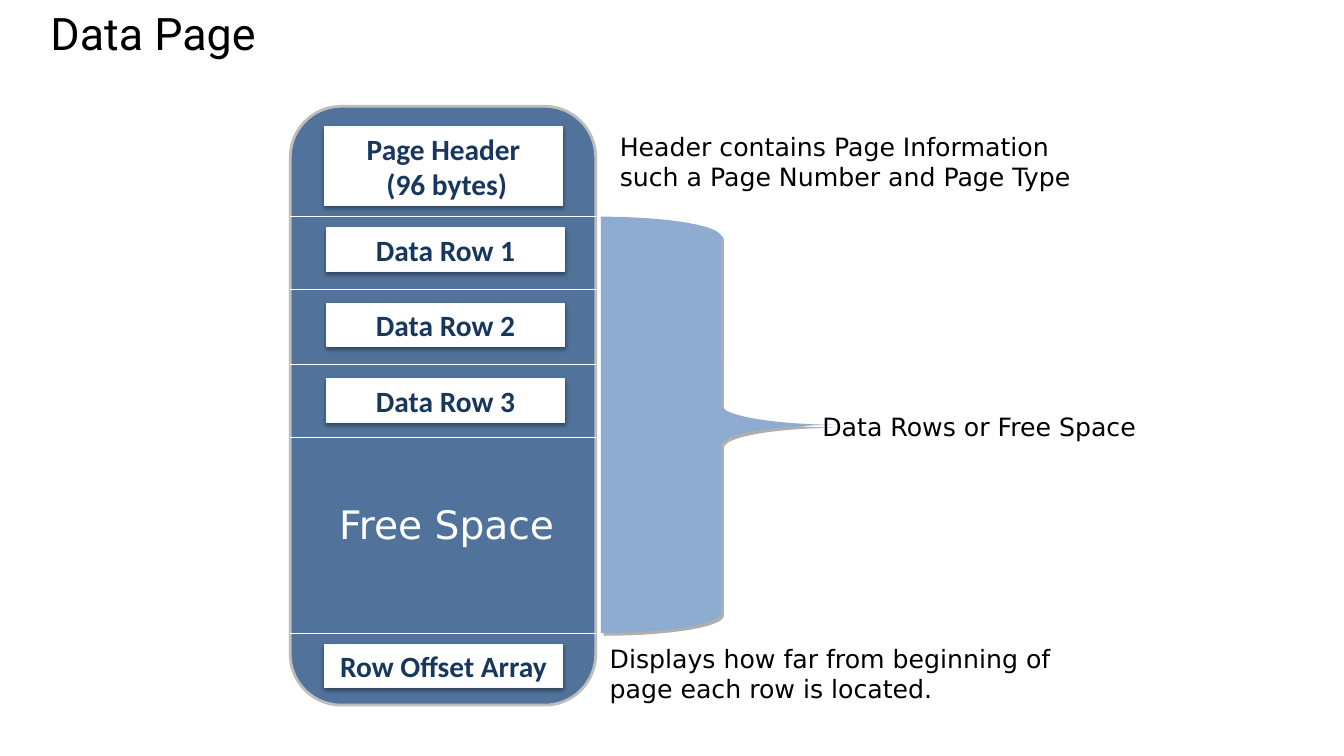
from lxml.etree import SubElement
from pptx import Presentation
from pptx.dml.color import RGBColor
from pptx.enum.shapes import MSO_CONNECTOR, MSO_SHAPE
from pptx.enum.text import MSO_ANCHOR, MSO_AUTO_SIZE, PP_ALIGN
from pptx.oxml.ns import qn
from pptx.util import Inches, Pt

COLORS = {
    "white": "FFFFFF", "black": "000000", "navy": "17375E",
    "panel": "51739B", "panel_edge": "BDBDBD", "card_edge": "F9F9F9",
    "brace": "8DACD0", "brace_shadow": "AFAFAF",
}
CELL = 0.1  # inches per grid column and row
COLUMNS, ROWS = 133.33, 75


def grid(cells):
    return Inches(cells * CELL)


def color(name):
    return RGBColor.from_string(COLORS[name])


class PageDiagram:
    """Holds the style and the current slide; all lengths are grid cells."""

    heading_font, label_font, note_font = "Roboto", "Calibri", "DejaVu Sans"

    def __init__(self, presentation):
        self.slide = presentation.slides.add_slide(presentation.slide_layouts[5])

    def add_lines(self, shape, lines, font, size, tone, bold=False, align=PP_ALIGN.LEFT):
        frame = shape.text_frame
        frame.word_wrap = True
        for index, line in enumerate(lines):
            paragraph = frame.add_paragraph() if index else frame.paragraphs[0]
            paragraph.alignment = align
            run = paragraph.add_run()
            run.text = line
            run.font.name, run.font.size, run.font.bold = font, Pt(size), bold
            run.font.color.rgb = color(tone)
        return frame

    def title(self, text, left, top, width, height):
        shape = self.slide.shapes.title
        shape.left, shape.top = grid(left), grid(top)
        shape.width, shape.height = grid(width), grid(height)
        shape.fill.solid()
        shape.fill.fore_color.rgb = color("white")
        frame = self.add_lines(shape, [text], self.heading_font, 32, "black")
        frame.auto_size = MSO_AUTO_SIZE.NONE
        frame.vertical_anchor = MSO_ANCHOR.MIDDLE
        frame.margin_left = frame.margin_right = 0
        frame.margin_top = frame.margin_bottom = 0
        frame.paragraphs[0].line_spacing = 0.9

    def block(self, kind, left, top, width, height, fill, edge=None, edge_width=0.75):
        shape = self.slide.shapes.add_shape(
            kind, grid(left), grid(top), grid(width), grid(height))
        shape.fill.solid()
        shape.fill.fore_color.rgb = color(fill)
        if edge:
            shape.line.color.rgb = color(edge)
            shape.line.width = Pt(edge_width)
        else:
            shape.line.fill.background()
        shape.shadow.inherit = False
        return shape

    def cast_shadow(self, shape, tone, opacity, blur, distance, angle):
        effects = shape._element.spPr.find(qn("a:effectLst"))
        shadow = SubElement(effects, qn("a:outerShdw"), blurRad=str(Pt(blur)),
                            dist=str(Pt(distance)), dir=str(angle * 60000),
                            algn="ctr", rotWithShape="0")
        shade = SubElement(shadow, qn("a:srgbClr"), val=COLORS[tone])
        SubElement(shade, qn("a:alpha"), val=str(opacity * 1000))

    def card(self, lines, left, top, height):
        shape = self.block(MSO_SHAPE.RECTANGLE, left, top, 23.6, height,
                           "white", "card_edge")
        self.cast_shadow(shape, "black", 38, 3.1, 1.6, 90)
        frame = self.add_lines(shape, lines, self.label_font, 21, "navy", True,
                               PP_ALIGN.CENTER)
        frame.margin_left = frame.margin_right = Inches(0.07)
        frame.margin_top = frame.margin_bottom = Inches(0.04)
        frame.vertical_anchor = MSO_ANCHOR.MIDDLE
        frame.auto_size = MSO_AUTO_SIZE.SHAPE_TO_FIT_TEXT

    def divider(self, left, right, top):
        line = self.slide.shapes.add_connector(
            MSO_CONNECTOR.STRAIGHT, grid(left), grid(top), grid(right), grid(top))
        line.line.color.rgb = color("white")
        line.line.width = Pt(0.75)
        SubElement(line._element.spPr, qn("a:effectLst"))

    def note(self, text, left, top, width, height, size=18, tone="black",
             align=PP_ALIGN.LEFT):
        box = self.slide.shapes.add_textbox(
            grid(left), grid(top), grid(width), grid(height))
        frame = self.add_lines(box, [text], self.note_font, size, tone, align=align)
        frame.auto_size = MSO_AUTO_SIZE.SHAPE_TO_FIT_TEXT


def main():
    presentation = Presentation()
    presentation.slide_width, presentation.slide_height = grid(COLUMNS), grid(ROWS)
    diagram = PageDiagram(presentation)
    diagram.title("Data Page", 5, 1.1, 119, 5)

    # Page outline and the lines between its sections
    left, width = 28.8, 30.3
    diagram.block(MSO_SHAPE.ROUNDED_RECTANGLE, left, 10.55, width, 59.4,
                  "panel", "panel_edge", 2)
    for top in (21.5, 28.7, 36.15, 43.45, 62.85):
        diagram.divider(left, left + width, top)

    # Section cards: header, evenly spaced data rows, offset array
    diagram.card(["Page Header", " (96 bytes)"], 32.2, 12.6, 7.8)
    for index in range(3):
        diagram.card([f"Data Row {index + 1}"], 32.4, 22.6 + 7.5 * index, 4.3)
    diagram.card(["Row Offset Array"], 32.2, 63.9, 4.3)
    diagram.note("Free Space", 31.5, 49.1, 25.6, 5.7, 28, "white", PP_ALIGN.CENTER)

    # Brace and explanations
    diagram.note("Header contains Page Information such a Page Number and Page Type",
                 60.5, 12.5, 48.5, 7.1)
    brace = diagram.block(MSO_SHAPE.RIGHT_BRACE, 59.6, 21.5, 23.9, 41.3, "brace")
    diagram.cast_shadow(brace, "brace_shadow", 100, 0, 2.8, 45)
    diagram.note("Data Rows or Free Space", 80.6, 40.3, 36.7, 4)
    diagram.note("Displays how far from beginning of page each row is located.",
                 59.5, 63.3, 48.5, 7.1)

    presentation.save("out.pptx")


if __name__ == "__main__":
    main()
